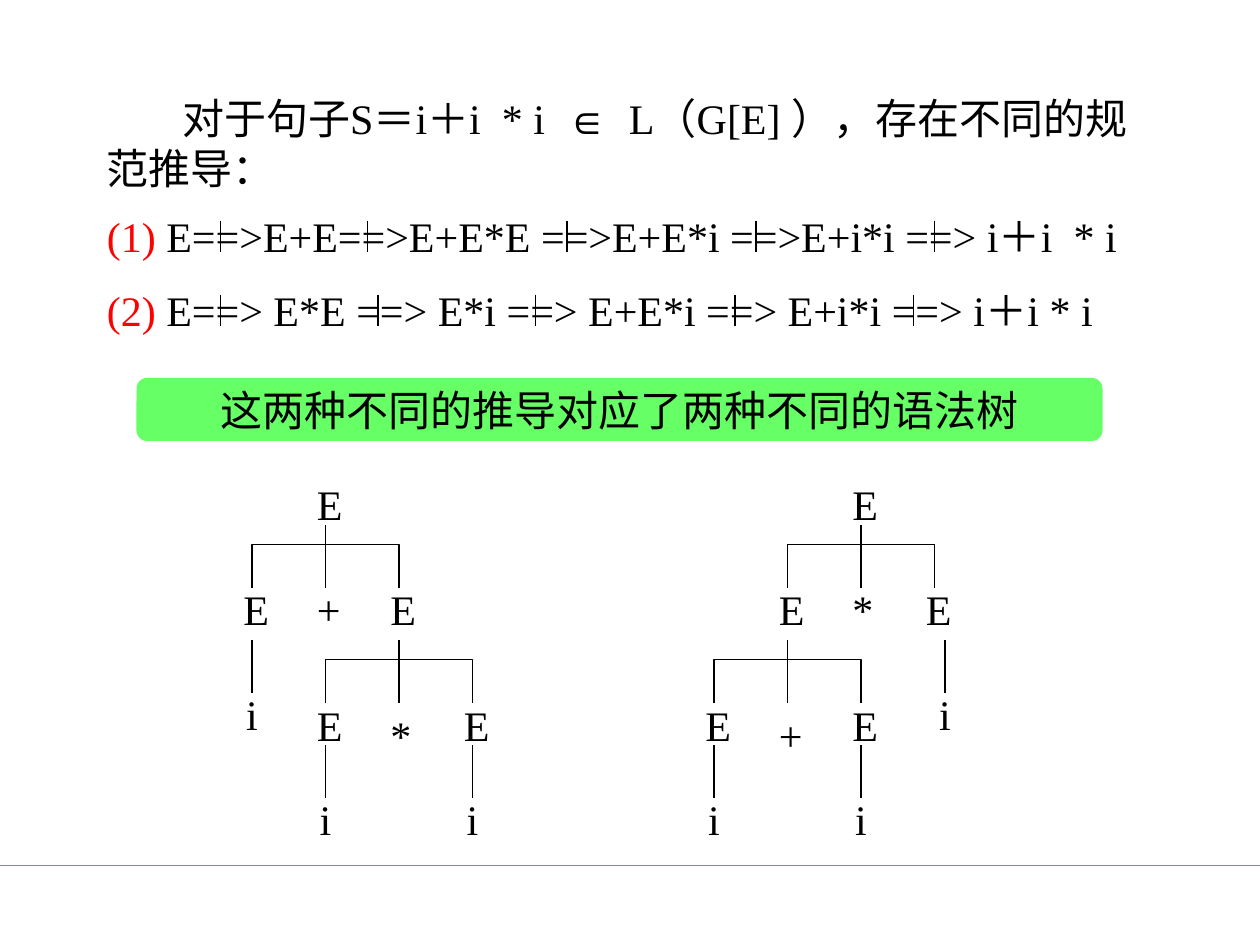
"""Build a slide on two derivations of one sentence and their syntax trees."""
import dataclasses
import typing

import pptx
import pptx.dml.color
import pptx.enum.shapes
import pptx.enum.text
import pptx.oxml.ns
import pptx.util
from lxml import etree

Pt = pptx.util.Pt
LEFT = pptx.enum.text.PP_ALIGN.LEFT
CENTER = pptx.enum.text.PP_ALIGN.CENTER
BLACK, RED, GREEN, TEAL = "000000", "FF0000", "66FF66", "00CC99"

FONT, FONT_SIZE, LINE_WIDTH = "Times New Roman", 24, 0.75
TEXT_LEFT = 54
TREE_TOP = 270
BRANCH_DX = 42
NODE_W, NODE_H = 24, 36
NODE_TO_FORK = 30
FORK_H, FORK_BAR_DY = 36, 11
STEM_H, STEM_TO_LEAF = 30, 24


@dataclasses.dataclass(frozen=True)
class Derivation:
    """One numbered derivation and the places where its arrows are struck."""
    top: float
    number: str
    steps: str
    ticks: tuple[float, ...]


@dataclasses.dataclass(frozen=True)
class Tree:
    """A syntax tree whose inner fork hangs on one side and a leaf on the other."""
    root_x: float
    root_op: str
    inner_op: str
    inner_dx: float
    leaf_dx: float


DERIVATIONS = (
    Derivation(120, "(1)", " E==>E+E==>E+E*E ==>E+E*i ==>E+i*i ==> i＋i  * i",
               (126, 210, 324, 432, 534)),
    Derivation(162.4, "(2)", " E==> E*E ==> E*i ==> E+E*i ==> E+i*i ==> i＋i * i",
               (126, 216, 306, 420, 522)),
)
TREES = (
    Tree(186, "+", "*", inner_dx=BRANCH_DX, leaf_dx=-BRANCH_DX),
    Tree(492, "*", "+", inner_dx=-BRANCH_DX, leaf_dx=48),
)


def color(value: str) -> pptx.dml.color.RGBColor:
    """Turn a hex string into a colour."""
    return pptx.dml.color.RGBColor.from_string(value)


def write(sp: typing.Any, runs: list[tuple[str, str]], align: typing.Any = LEFT) -> typing.Any:
    """Fill a shape with one paragraph of coloured runs and return it."""
    p = sp.text_frame.paragraphs[0]
    p.alignment = align
    p.font.size = Pt(FONT_SIZE)
    p.font.name = FONT
    for text, tint in runs:
        r = p.add_run()
        r.text = text
        r.font.color.rgb = color(tint)
    return p


def add_text(shapes: typing.Any, x: float, y: float, w: float, h: float,
             runs: list[tuple[str, str]], align: typing.Any = LEFT) -> typing.Any:
    """Add a wrapping text box and return its paragraph."""
    sp = shapes.add_textbox(Pt(x), Pt(y), Pt(w), Pt(h))
    sp.text_frame.word_wrap = True
    return write(sp, runs, align)


def set_stroke(sp: typing.Any, tint: str) -> None:
    """Give a shape or connector a thin coloured line."""
    sp.line.color.rgb = color(tint)
    sp.line.width = Pt(LINE_WIDTH)


def add_line(shapes: typing.Any, x1: float, y1: float, x2: float, y2: float,
             tint: str = BLACK) -> None:
    """Add a straight line without a shadow."""
    line = shapes.add_connector(pptx.enum.shapes.MSO_CONNECTOR.STRAIGHT,
                                Pt(x1), Pt(y1), Pt(x2), Pt(y2))
    set_stroke(line, tint)
    etree.SubElement(line._element.spPr, pptx.oxml.ns.qn("a:effectLst"))


def add_node(shapes: typing.Any, x: float, y: float, text: str,
             align: typing.Any = LEFT) -> None:
    """Add a tree label whose box is centred on x."""
    add_text(shapes, x - NODE_W / 2, y, NODE_W, NODE_H, [(text, BLACK)], align)


def add_fork(shapes: typing.Any, x: float, y: float) -> None:
    """Add a three-way branch: a trunk and a bracket around it."""
    left, right = Pt(x - BRANCH_DX), Pt(x + BRANCH_DX)
    bar, bottom = Pt(y + FORK_BAR_DY), Pt(y + FORK_H)
    add_line(shapes, x, y, x, y + FORK_H)
    fb = shapes.build_freeform(left, bottom)
    fb.add_line_segments([(left, bar), (right, bar), (right, bottom)], close=False)
    sp = fb.convert_to_shape()
    sp.shadow.inherit = False
    sp.fill.background()
    set_stroke(sp, BLACK)


def add_leaf(shapes: typing.Any, x: float, y: float) -> None:
    """Add a stem with the terminal i under it."""
    add_line(shapes, x, y, x, y + STEM_H)
    add_node(shapes, x, y + STEM_TO_LEAF, "i", CENTER)


def add_tree(s: typing.Any, tree: Tree) -> None:
    """Draw one syntax tree as a group, level by level."""
    shapes = s.shapes.add_group_shape().shapes
    root_x, inner_x = tree.root_x, tree.root_x + tree.inner_dx
    root_fork = TREE_TOP + NODE_TO_FORK
    child_top = root_fork + NODE_TO_FORK
    inner_fork = child_top + NODE_H
    grandchild_top = inner_fork + NODE_TO_FORK

    add_node(shapes, root_x, TREE_TOP, "E")
    add_fork(shapes, root_x, root_fork)
    add_node(shapes, root_x, child_top, tree.root_op)
    add_leaf(shapes, root_x + tree.leaf_dx, inner_fork)
    add_fork(shapes, inner_x, inner_fork)
    add_node(shapes, inner_x, inner_fork + FORK_H, tree.inner_op)
    for dx in (-BRANCH_DX, BRANCH_DX):
        add_node(shapes, root_x + dx, child_top, "E")
        add_node(shapes, inner_x + dx, grandchild_top, "E")
        add_leaf(shapes, inner_x + dx, grandchild_top + NODE_TO_FORK)


def add_derivation(s: typing.Any, row: Derivation) -> None:
    """Write one derivation and strike its arrows."""
    p = add_text(s.shapes, TEXT_LEFT, row.top, 636, 33,
                 [(row.number, RED), (row.steps, BLACK)])
    p.line_spacing = 0.9
    for x in row.ticks:
        add_line(s.shapes, x, row.top + 6, x, row.top + 24)


def add_intro(s: typing.Any) -> None:
    """Add the opening sentence with its first line indented."""
    p = add_text(s.shapes, TEXT_LEFT, 49.2, 606, 65,
                 [("对于句子S＝i＋i  * i  ∈  L（G[E] ），存在不同的规范推导：", BLACK)])
    p._p.get_or_add_pPr().set("indent", str(Pt(43)))


def add_banner(s: typing.Any) -> None:
    """Add the green conclusion banner."""
    sp = s.shapes.add_shape(pptx.enum.shapes.MSO_SHAPE.ROUNDED_RECTANGLE,
                            Pt(78), Pt(216), Pt(552), Pt(36))
    sp.shadow.inherit = False
    sp.fill.solid()
    sp.fill.fore_color.rgb = color(GREEN)
    sp.line.fill.background()
    sp.text_frame.word_wrap = False
    sp.text_frame.vertical_anchor = pptx.enum.text.MSO_ANCHOR.MIDDLE
    write(sp, [("这两种不同的推导对应了两种不同的语法树", BLACK)], CENTER)


def main() -> None:
    """Build and save the slide."""
    prs = pptx.Presentation()
    prs.slide_width, prs.slide_height = Pt(720), Pt(540)
    s = prs.slides.add_slide(prs.slide_layouts[6])
    add_line(s.shapes, 0, 494.6, 720, 494.6, TEAL)
    add_intro(s)
    for tree in TREES:
        add_tree(s, tree)
    add_banner(s)
    for row in DERIVATIONS:
        add_derivation(s, row)
    prs.save("out.pptx")


if __name__ == "__main__":
    main()
